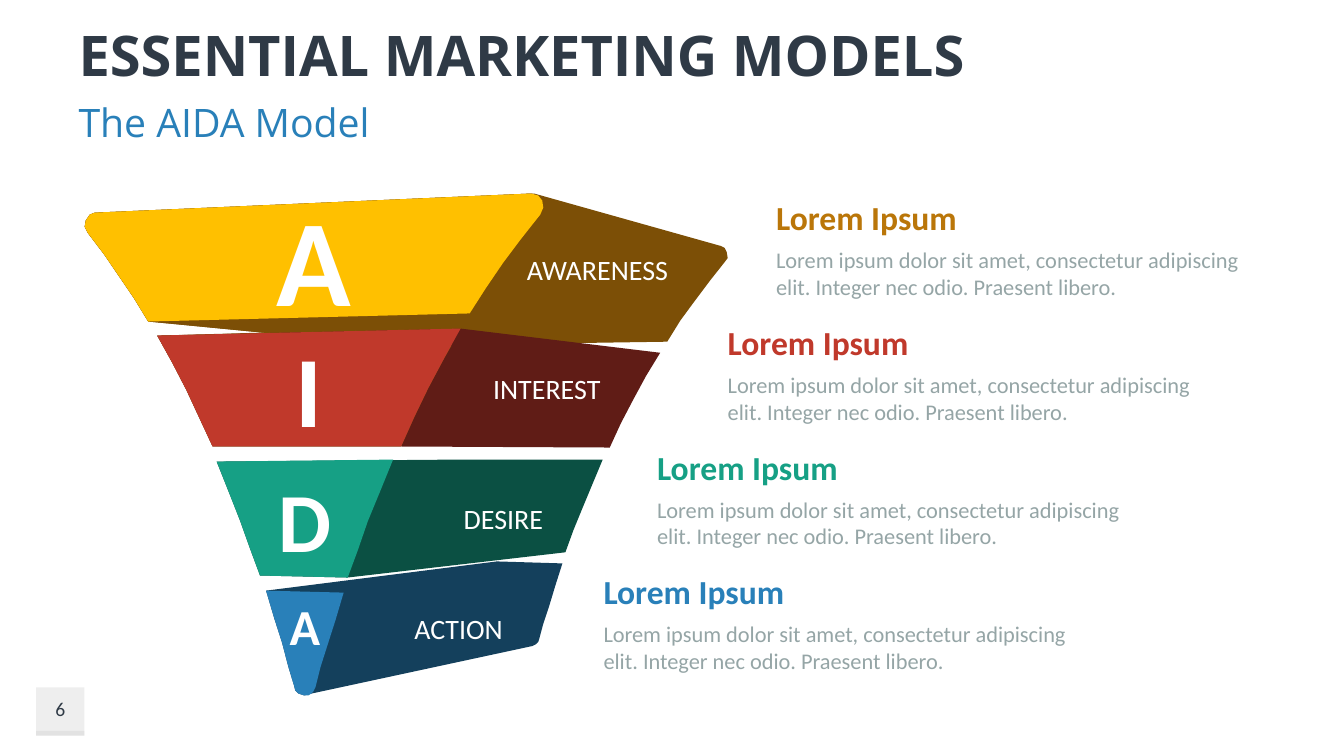
import pptx
import pptx.dml.color
import pptx.enum.shapes
import pptx.enum.text
import pptx.oxml
import pptx.oxml.ns
import pptx.util

Cm = pptx.util.Cm
ALIGN = pptx.enum.text.PP_ALIGN
ANCHOR = pptx.enum.text.MSO_ANCHOR
GRID = Cm(2.54) / 100

BROWN = "7C4F06"
WHITE = "FFFFFF"
INK = "2F3A46"
BLUE = "2980B9"
PROMISE = ("Lorem ipsum dolor sit amet, consectetur adipiscing elit. "
           "Integer nec odio. Praesent libero.")

AWARENESS_LEFT = [(94, 211), (89, 213), (85, 219), (84, 225), (87, 231),
                  (103, 252), (118, 274), (133, 296), (147, 319)]
AWARENESS_FOLD = [(527, 192), (534, 194), (538, 199), (539, 206), (536, 213),
                  (517, 237), (499, 261), (482, 286), (466, 311)]
AWARENESS_RIGHT = [(530, 192), (715, 244), (719, 246), (721, 250), (722, 256),
                   (719, 260), (704, 279), (689, 299), (675, 318), (662, 339)]
INTEREST_LEFT = [(156, 333), (171, 360), (185, 387), (198, 415), (211, 443)]
INTEREST_FOLD = [(457, 326), (441, 355), (425, 385), (411, 414), (398, 443)]
INTEREST_RIGHT = [(655, 350), (641, 373), (628, 397), (616, 420), (605, 444)]
DESIRE_LEFT = [(215, 458), (227, 488), (238, 516), (248, 544), (258, 571)]
DESIRE_FOLD = [(390, 456), (377, 488), (365, 517), (355, 546), (345, 573)]
DESIRE_RIGHT = [(598, 456), (588, 480), (578, 504), (569, 526), (561, 548)]
ACTION_LEFT = [(264, 586), (272, 613), (280, 638), (286, 661), (292, 681),
               (293, 685), (296, 688), (299, 689), (302, 690)]
ACTION_FOLD = [(341, 588), (333, 615), (325, 640), (318, 662), (313, 682),
               (311, 686), (309, 688), (306, 690)]
ACTION_RIGHT = [(558, 559), (551, 581), (545, 601), (539, 619), (535, 634),
                (534, 637), (532, 639), (528, 641)]


def rgb(code):
    return pptx.dml.color.RGBColor.from_string(code)


def paint(shape, color):
    shape.shadow.inherit = False
    shape.fill.solid()
    shape.fill.fore_color.rgb = rgb(color)
    shape.line.fill.background()


def write(frame, text, size, color, bold=False, font="Calibri",
          align=ALIGN.LEFT, anchor=ANCHOR.TOP, insets=(0.25, 0.13, 0.25, 0.13)):
    frame.word_wrap = True
    frame.auto_size = pptx.enum.text.MSO_AUTO_SIZE.NONE
    frame.vertical_anchor = anchor
    frame.margin_left, frame.margin_top, frame.margin_right, frame.margin_bottom = map(Cm, insets)
    paragraph = frame.paragraphs[0]
    paragraph.alignment = align
    paragraph.line_spacing = 1.0
    paragraph.space_before = pptx.util.Pt(0)
    run = paragraph.add_run()
    run.text = text
    run.font.name = font
    run.font.size = pptx.util.Pt(size)
    run.font.bold = bold
    run.font.color.rgb = rgb(color)


def add_heading(placeholder, top, height, text, size, color, **style):
    placeholder.left, placeholder.top = Cm(1.73), Cm(top)
    placeholder.width, placeholder.height = Cm(27.23), Cm(height)
    write(placeholder.text_frame, text, size, color, font="Open Sans", **style)


def add_label(slide, left, top, width, height, text, size, color, **style):
    label = slide.shapes.add_textbox(Cm(left), Cm(top), Cm(width), Cm(height))
    write(label.text_frame, text, size, color, **style)


def add_panel(slide, outline, color):
    builder = slide.shapes.build_freeform(*outline[0], scale=GRID)
    builder.add_line_segments(outline[1:], close=True)
    panel = builder.convert_to_shape()
    paint(panel, color)
    return panel


def add_side(slide, crest, left, base, right, color, stage):
    side = add_panel(slide, crest + left + base + right[::-1], color)
    write(side.text_frame, stage, 20, WHITE, align=ALIGN.RIGHT,
          anchor=ANCHOR.MIDDLE, insets=(0.1, 0.1, 1.5, 0.1))


def add_face(slide, fold, left, color, initial, size, anchor=ANCHOR.MIDDLE):
    face = add_panel(slide, fold + left[::-1], color)
    write(face.text_frame, initial, size, WHITE, bold=True, align=ALIGN.CENTER,
          anchor=anchor, insets=(0.1, 0.1, 0.1, 0.1))


def add_funnel(slide):
    add_side(slide, [(493, 557)], ACTION_LEFT, [(305, 689)], ACTION_RIGHT, "14405C", "ACTION")
    add_face(slide, ACTION_FOLD, ACTION_LEFT, BLUE, "A", 36, ANCHOR.TOP)
    add_side(slide, [(453, 456)], DESIRE_LEFT, [(345, 573)], DESIRE_RIGHT, "0B5043", "DESIRE")
    add_side(slide, [(527, 192)], AWARENESS_LEFT, [(395, 343)], AWARENESS_RIGHT,
             BROWN, "AWARENESS")
    add_side(slide, INTEREST_FOLD[:1], INTEREST_LEFT, INTEREST_FOLD[-1:], INTEREST_RIGHT,
             "601C16", "INTEREST")
    add_panel(slide, AWARENESS_FOLD + [(457, 326), (261, 330)] + AWARENESS_LEFT[::-1], BROWN)
    add_panel(slide, [(261, 330), (395, 343), (448, 343)] + INTEREST_FOLD[1:]
              + INTEREST_LEFT[::-1], BROWN)
    add_face(slide, DESIRE_FOLD, DESIRE_LEFT, "16A085", "D", 60)
    add_face(slide, AWARENESS_FOLD, AWARENESS_LEFT, "FFC000", "A", 88)
    add_face(slide, INTEREST_FOLD, INTEREST_LEFT, "C0392B", "I", 72)


def add_explanation(slide, left, top, color):
    insets = (0, 0.13, 0.25, 0.13)
    add_label(slide, left, top, 12.4, 1.27, "Lorem Ipsum", 24, color,
              bold=True, anchor=ANCHOR.BOTTOM, insets=insets)
    add_label(slide, left, top + 1.23, 12.4, 1.63, PROMISE, 16, "95A5A6", insets=insets)


def add_page_number(slide, number):
    for top, height in ((17.32, 1.22), (18.42, 0.12)):
        tile = slide.shapes.add_shape(pptx.enum.shapes.MSO_SHAPE.RECTANGLE,
                                      Cm(0.91), Cm(top), Cm(1.22), Cm(height))
        paint(tile, "BFBFBF")
        tint = tile.fill._xPr.find(".//" + pptx.oxml.ns.qn("a:srgbClr"))
        alpha = pptx.oxml.parse_xml("<a:alpha %s val='25000'/>" % pptx.oxml.ns.nsdecls("a"))
        tint.append(alpha)
    add_label(slide, 0.91, 17.32, 1.22, 1.09, number, 14, INK,
              align=ALIGN.CENTER, anchor=ANCHOR.MIDDLE)


def main():
    deck = pptx.Presentation()
    deck.slide_width, deck.slide_height = Cm(33.87), Cm(19.05)
    slide = deck.slides.add_slide(deck.slide_layouts[0])
    title, subtitle = slide.placeholders
    add_heading(title, 0.38, 1.96, "ESSENTIAL MARKETING MODELS", 40, INK,
                bold=True, anchor=ANCHOR.MIDDLE)
    add_heading(subtitle, 2.34, 1.45, "The AIDA Model", 28, BLUE)
    add_page_number(slide, "6")
    explanations = ((19.56, "BA7609"), (18.34, "C0392B"), (16.56, "16A085"), (15.21, BLUE))
    for row, (left, color) in enumerate(explanations):
        add_explanation(slide, left, 4.85 + row * 3.14, color)
    add_funnel(slide)
    deck.save("out.pptx")


if __name__ == "__main__":
    main()
